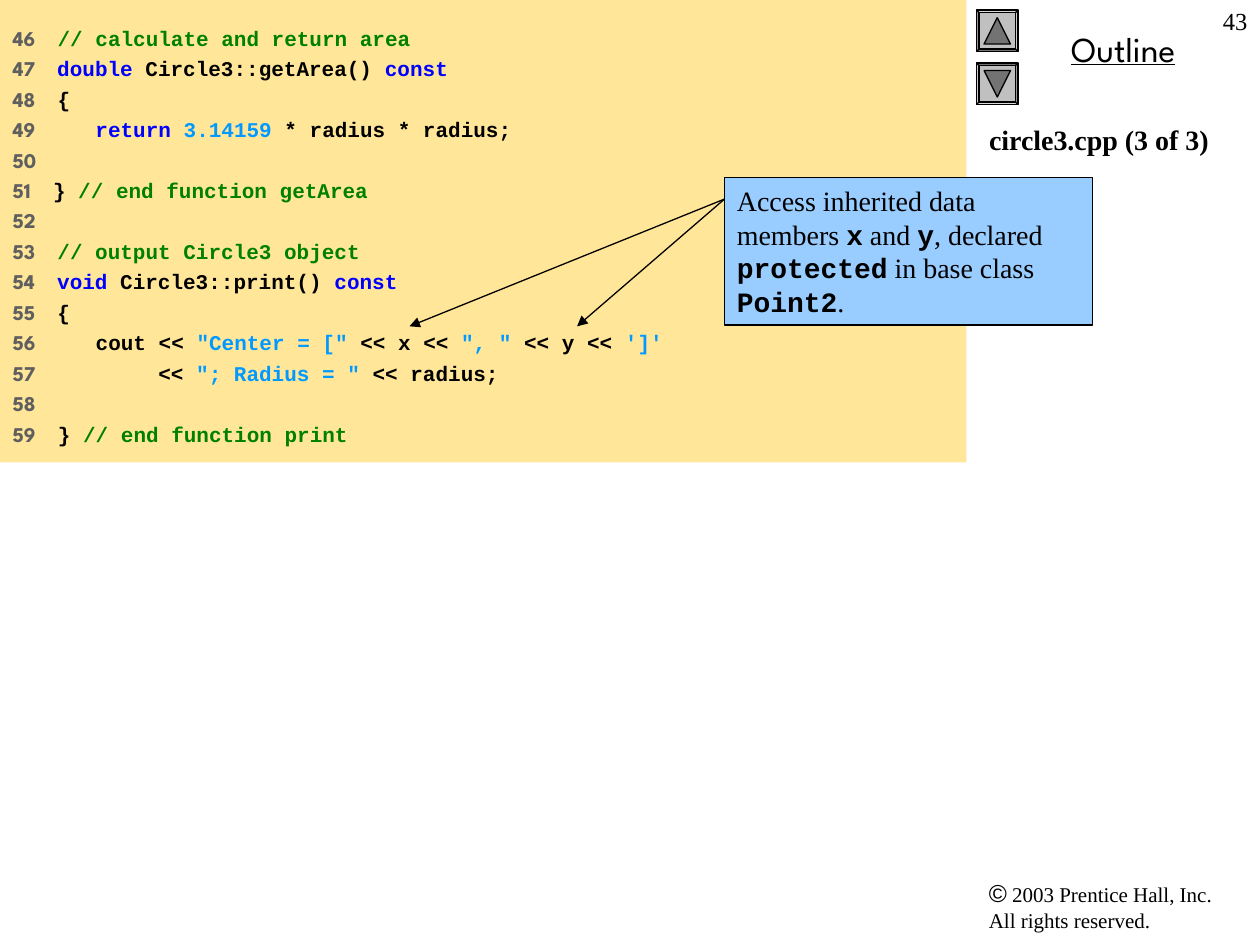
from lxml import etree
from pptx import Presentation
from pptx import util as u
from pptx.dml.color import RGBColor
from pptx.enum import shapes, text
from pptx.oxml.ns import qn

COLORS = {
    "black": "000000", "number": "5F5F5F", "comment": "008000",
    "keyword": "0000FF", "literal": "0099FF", "code_bg": "FFE699",
    "note_bg": "99CCFF", "button": "C0C0C0", "arrow": "737373",
}
# style: font, size, bold, colour
STYLES = {
    "num": ("League Spartan", 12, True, "number"),
    "code": ("Courier New", 12, True, "black"),
    "com": ("Courier New", 12, True, "comment"),
    "key": ("Courier New", 12, True, "keyword"),
    "lit": ("Courier New", 12, True, "literal"),
    "note": ("Times New Roman", 16, False, "black"),
    "name": ("Courier New", 16, True, "black"),
    "title": ("Times New Roman", 16, True, "black"),
    "outline": ("League Spartan", 20, False, "black"),
    "page": ("Times New Roman", 14, False, "black"),
    "sign": ("Arial", 14, False, "black"),
    "legal": ("Times New Roman", 12, False, "black"),
}
CODE = [
    [("// calculate and return area", "com")],
    [("double", "key"), (" Circle3::getArea() ", "code"), ("const", "key")],
    [("{", "code")],
    [("   return ", "key"), ("3.14159", "lit"), (" * radius * radius;", "code")],
    [],
    [("} ", "code"), ("// end function getArea", "com")],
    [],
    [("// output Circle3 object", "com")],
    [("void", "key"), (" Circle3::print() ", "code"), ("const", "key")],
    [("{", "code")],
    [("   cout << ", "code"), ('"Center = ["', "lit"), (" << x << ", "code"),
     ('", "', "lit"), (" << y << ", "code"), ("']'", "lit")],
    [("        << ", "code"), ('"; Radius = "', "lit"), (" << radius;", "code")],
    [],
    [("} ", "code"), ("// end function print", "com")],
]
SIDE = 7.75  # left edge of the side column


def write(p, runs):
    for words, style in runs:
        if words == "\n":
            p.add_line_break()
            continue
        r = p.add_run()
        r.text = words
        r.font.name, size, r.font.bold, color = STYLES[style]
        r.font.size = u.Pt(size)
        r.font.color.rgb = RGBColor.from_string(COLORS[color])


def place(sp, left, top, width, height, inset=0.05):
    sp.left, sp.top = u.Inches(left), u.Inches(top)
    sp.width, sp.height = u.Inches(width), u.Inches(height)
    tf = sp.text_frame
    tf.word_wrap = True
    tf.auto_size = text.MSO_AUTO_SIZE.NONE
    tf.vertical_anchor = text.MSO_ANCHOR.TOP
    tf.margin_left = tf.margin_right = u.Inches(0.1)
    tf.margin_top = tf.margin_bottom = u.Inches(inset)
    tf.paragraphs[0].alignment = text.PP_ALIGN.LEFT
    return tf


prs = Presentation()
prs.slide_width, prs.slide_height = u.Inches(10), u.Inches(7.5)
s = prs.slides.add_slide(prs.slide_layouts[0])

# Side column: heading, page number, copyright
for box, align, runs in [
    ((SIDE, 6.92, 2.17, 0.54), "LEFT",
     [("©", "sign"), (" 2003 Prentice Hall, Inc.", "legal"), ("\n", "legal"),
      ("All rights reserved.", "legal")]),
    ((7.83, 0.17, 2.17, 0.44), "CENTER", [("Outline", "outline")]),
    ((9.5, 0, 0.5, 0.5), "RIGHT", [("43", "page")]),
]:
    p = place(s.shapes.add_textbox(0, 0, 0, 0), *box).paragraphs[0]
    p.alignment = text.PP_ALIGN[align]
    write(p, runs)
    p.runs[0].font.underline = runs[0][1] == "outline"

# Up and down buttons
for top, turn, flip in [(0.08, 90, 0), (0.5, 270, 180)]:
    for kind, inset, size, color, angle in [
        ("BEVEL", 0, 0.33, "button", turn),
        ("ISOSCELES_TRIANGLE", 0.06, 0.21, "arrow", flip),
    ]:
        sp = s.shapes.add_shape(
            shapes.MSO_SHAPE[kind], u.Inches(SIDE + inset), u.Inches(top + inset),
            u.Inches(size), u.Inches(size))
        sp.shadow.inherit = False
        sp.rotation = angle
        sp.fill.solid()
        sp.fill.fore_color.rgb = RGBColor.from_string(COLORS[color])
        sp.line.color.rgb = RGBColor.from_string(COLORS["black"])
        sp.line.width = u.Pt(0.75)
        if kind == "BEVEL":
            sp.adjustments[0] = 0.06

# File name
tf = place(s.shapes.title, SIDE, 0.92, 2.25, 5.25)
write(tf.paragraphs[0], [("circle3.cpp (3 of 3)", "title")])

# Numbered code listing
sp = s.placeholders[1]
tf = place(sp, 0, 0, 7.67, 3.67, 0.2)
sp.fill.solid()
sp.fill.fore_color.rgb = RGBColor.from_string(COLORS["code_bg"])
for i, runs in enumerate(CODE):
    p = tf.add_paragraph() if i else tf.paragraphs[0]
    p.alignment = text.PP_ALIGN.LEFT
    p.space_before = u.Pt(3 if i else 0)
    gap = "    " if runs else ""
    write(p, [(f"{46 + i}{gap}", "num")] + runs)

# Callout
sp = s.shapes.add_shape(shapes.MSO_SHAPE.RECTANGLE, 0, 0, 0, 0)
tf = place(sp, 5.75, 1.41, 2.92, 1.17)
sp.shadow.inherit = False
sp.fill.solid()
sp.fill.fore_color.rgb = RGBColor.from_string(COLORS["note_bg"])
sp.line.color.rgb = RGBColor.from_string(COLORS["black"])
sp.line.width = u.Pt(0.75)
write(tf.paragraphs[0], [
    ("Access inherited data members ", "note"), ("x", "name"), (" and ", "note"),
    ("y", "name"), (", declared ", "note"), ("protected", "name"),
    (" in base class ", "note"), ("Point2", "name"), (".", "note")])

# Arrows from the callout to x and y
for x in (3.25, 4.58):
    line = s.shapes.add_connector(
        shapes.MSO_CONNECTOR.STRAIGHT, u.Inches(5.75), u.Inches(1.58),
        u.Inches(x), u.Inches(2.59))
    line.line.color.rgb = RGBColor.from_string(COLORS["black"])
    line.line.width = u.Pt(0.75)
    etree.SubElement(line.line._get_or_add_ln(), qn("a:tailEnd"), type="triangle")
    etree.SubElement(line._element.spPr, qn("a:effectLst"))

prs.save("out.pptx")
